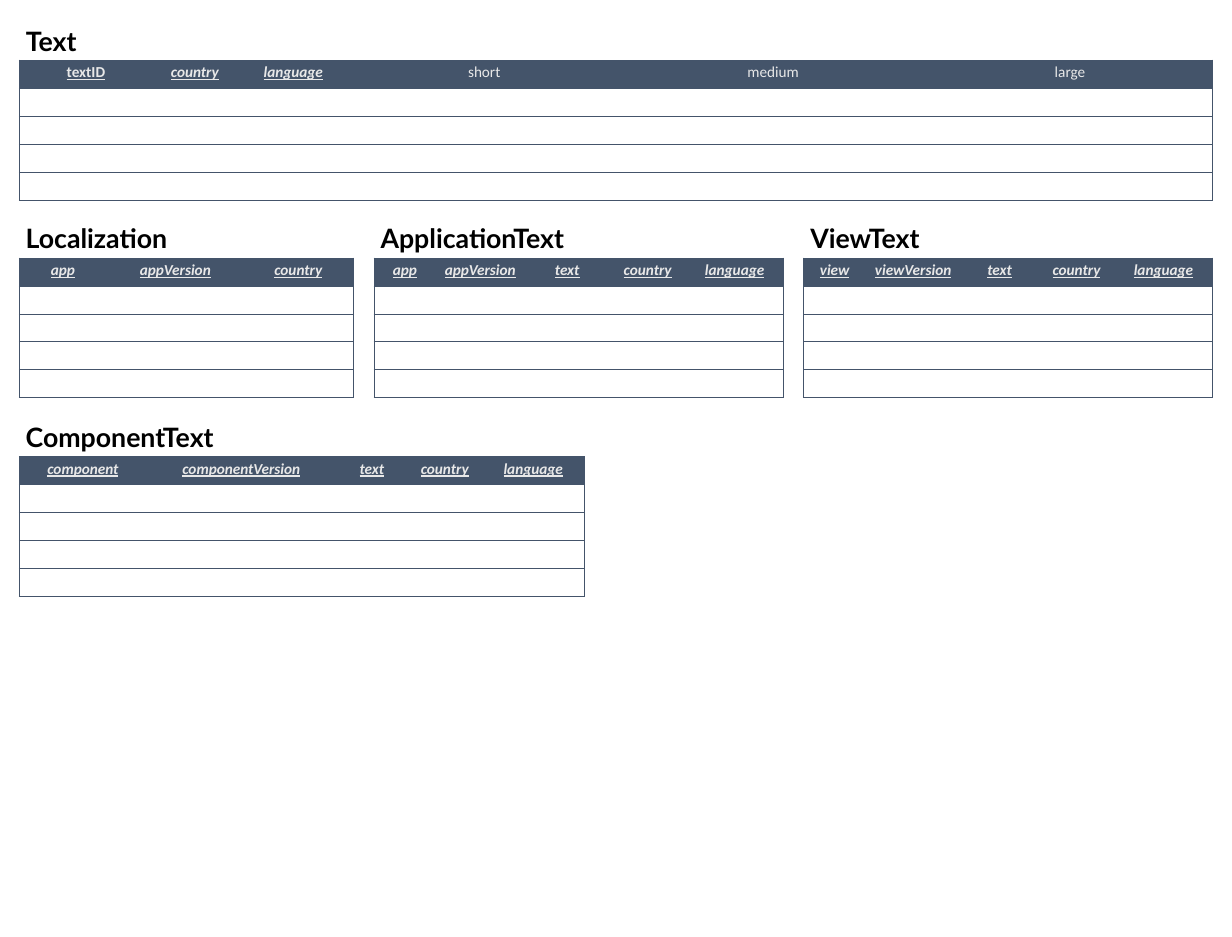
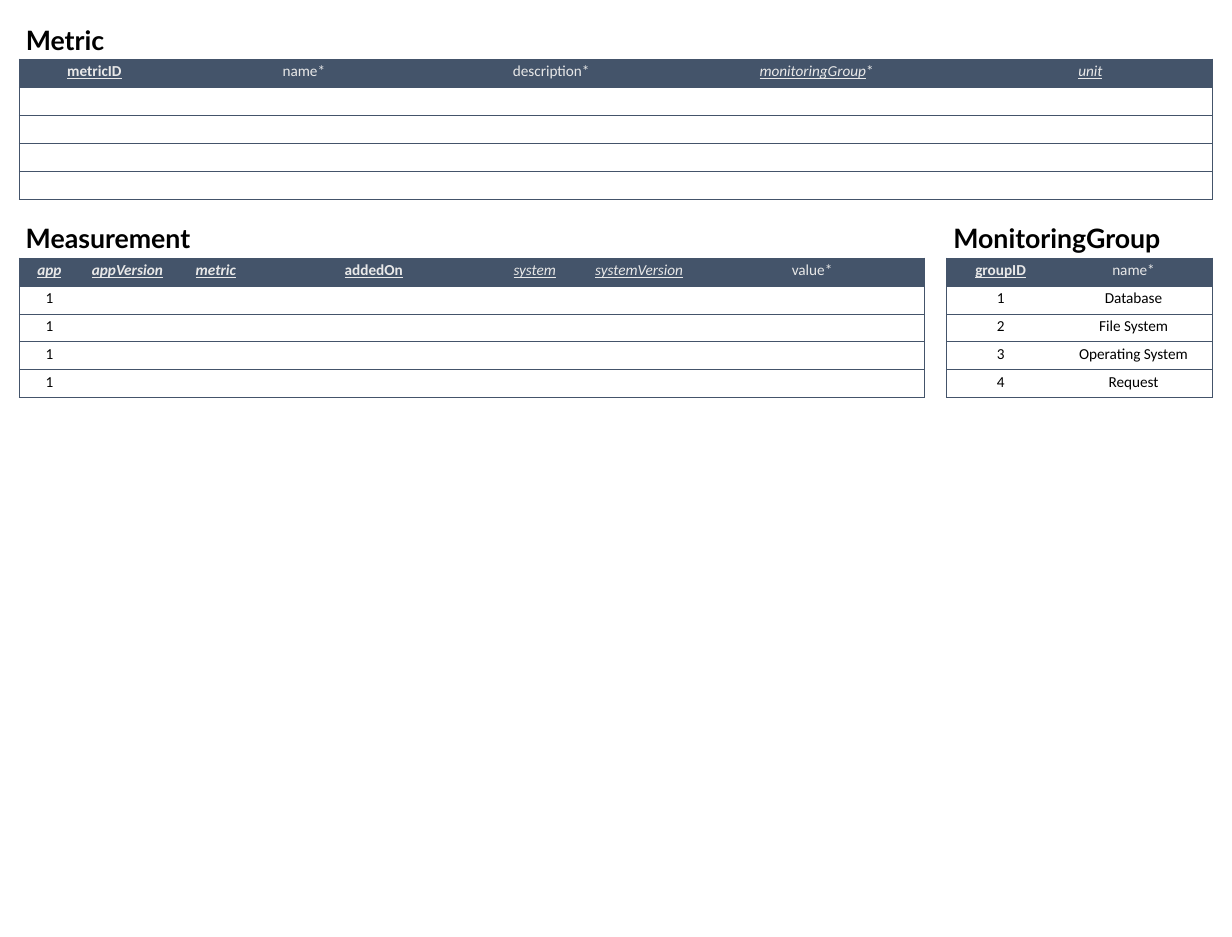
from dataclasses import dataclass

from lxml import etree
from pptx import Presentation
from pptx import util as u
from pptx.dml.color import RGBColor
from pptx.enum import text as t
from pptx.oxml.ns import qn

PX = 914400 / 68.7  # EMU per pixel


@dataclass(frozen=True)
class Theme:
    navy: str = "44546A"
    pale: str = "E8E8E8"
    ink: str = "000000"
    head: str = "Lato"
    body: str = "Calibri"
    big: int = 28
    small: int = 16
    rule: float = 0.5


th = Theme()
ROWS, ROW_H, HEAD_H = 5, 28, 39
NO_GRID = "{2D5ABB26-0587-4C30-8999-92F81FD0307C}"

# Column styles: b bold, i italic, u underlined; a trailing * stays plain
KEY, REF, LINK, PLAIN = "bu", "biu", "iu", ""


def write(par, words, font=th.body, size=th.small, color=th.ink, style=PLAIN,
          align=t.PP_ALIGN.CENTER):
    par.alignment = align
    run = par.add_run()
    run.text = words
    f = run.font
    f.name, f.size, f.color.rgb = font, u.Pt(size), RGBColor.from_string(color)
    f.bold, f.italic, f.underline = (mark in style for mark in "biu")


def border(cell, sides):
    props = cell._tc.get_or_add_tcPr()
    for side in "LRTB":
        if side in sides:
            line = etree.SubElement(props, qn(f"a:ln{side}"), w=str(u.Pt(th.rule)))
            fill = etree.SubElement(line, qn("a:solidFill"))
            etree.SubElement(fill, qn("a:srgbClr"), val=th.navy)


# Each table: heading, heading width, left, top, columns (name, style, width), rows
slides = [
    [
        ("Text", 69, 19, 60,
         [("textID", KEY, 134), ("country", REF, 84), ("language", REF, 113),
          ("short", PLAIN, 269), ("medium", PLAIN, 309), ("large", PLAIN, 285)], []),
        ("Localization", 167, 19, 258,
         [("app", REF, 88), ("appVersion", REF, 137), ("country", REF, 109)], []),
        ("ApplicationText", 211, 374, 258,
         [("app", REF, 62), ("appVersion", REF, 89), ("text", REF, 85),
          ("country", REF, 76), ("language", REF, 98)], []),
        ("ViewText", 130, 804, 258,
         [("view", REF, 62), ("viewVersion", REF, 95), ("text", REF, 78),
          ("country", REF, 76), ("language", REF, 98)], []),
        ("ComponentText", 212, 19, 457,
         [("component", REF, 128), ("componentVersion", REF, 189), ("text", REF, 72),
          ("country", REF, 74), ("language", REF, 103)], []),
    ],
    [
        ("Metric", 93, 19, 59,
         [("metricID", KEY, 151), ("name*", PLAIN, 268), ("description*", PLAIN, 227),
          ("monitoringGroup*", LINK, 304), ("unit", LINK, 244)], []),
        ("Measurement", 184, 19, 258,
         [("app", REF, 61), ("appVersion", REF, 95), ("metric", REF, 82),
          ("addedOn", KEY, 234), ("system", LINK, 88), ("systemVersion", LINK, 121),
          ("value*", PLAIN, 225)], [["1"]] * 4),
        ("MonitoringGroup", 225, 947, 258,
         [("groupID", KEY, 108), ("name*", PLAIN, 158)],
         [["1", "Database"], ["2", "File System"],
          ["3", "Operating System"], ["4", "Request"]]),
    ],
]

deck = Presentation()
deck.slide_width, deck.slide_height = u.Inches(17.94), u.Inches(13.65)

for tables in slides:
    slide = deck.slides.add_slide(deck.slide_layouts[5])
    for n, (name, wide, left, top, cols, rows) in enumerate(tables):
        # Heading: the first one is the slide title
        box = slide.shapes.title if n == 0 else slide.shapes.add_textbox(0, 0, 0, 0)
        box.left, box.top = int(left * PX), int((top - HEAD_H) * PX)
        box.width, box.height = int(wide * PX), int(HEAD_H * PX)
        frame = box.text_frame
        frame.word_wrap = False
        frame.auto_size = t.MSO_AUTO_SIZE.SHAPE_TO_FIT_TEXT
        frame.vertical_anchor = t.MSO_ANCHOR.TOP
        write(frame.paragraphs[0], name, font=th.head, size=th.big, style="b",
              align=t.PP_ALIGN.LEFT)

        # Table grid
        total = sum(width for _, _, width in cols)
        grid = slide.shapes.add_table(ROWS, len(cols), int(left * PX), int(top * PX),
                                      int(total * PX), int(ROWS * ROW_H * PX)).table
        grid.horz_banding = False
        grid._tbl.tblPr.find(qn("a:tableStyleId")).text = NO_GRID
        for row in grid.rows:
            row.height = int(ROW_H * PX)

        for c, (label, style, width) in enumerate(cols):
            grid.columns[c].width = int(width * PX)
            # Borders and fills
            sides = "TB" + "L" * (c == 0) + "R" * (c == len(cols) - 1)
            for r in range(ROWS):
                cell = grid.cell(r, c)
                border(cell, sides)
                if r == 0:
                    cell.fill.solid()
                    cell.fill.fore_color.rgb = RGBColor.from_string(th.navy)
                else:
                    cell.fill.background()
            # Column header
            par = grid.cell(0, c).text_frame.paragraphs[0]
            stem, star, _ = label.partition("*")
            write(par, stem, color=th.pale, style=style)
            if star:
                write(par, star, color=th.pale)

        # Values
        for r, row in enumerate(rows, 1):
            for c, value in enumerate(row):
                write(grid.cell(r, c).text_frame.paragraphs[0], value)

deck.save("out.pptx")
